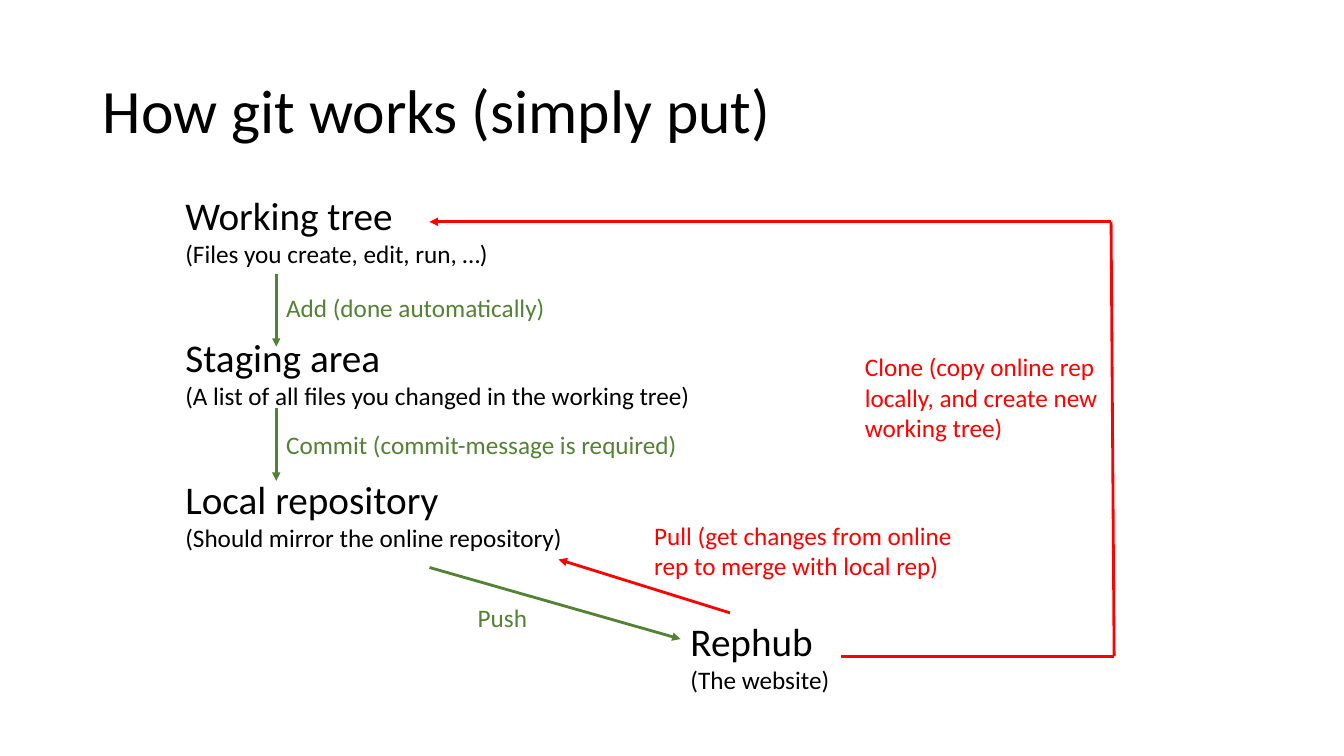
from pptx import Presentation
from pptx import util as u
from pptx.dml.color import RGBColor
from pptx.enum import shapes, text
from pptx.oxml.ns import qn
from lxml import etree

BLACK = RGBColor(0x00, 0x00, 0x00)
GREEN = RGBColor(0x54, 0x82, 0x35)
RED = RGBColor(0xFF, 0x00, 0x00)
FONT = "Calibri"


def add_run(paragraph, words, size, color):
    """Append one formatted run to a paragraph."""
    run = paragraph.add_run()
    run.text = words
    run.font.name = FONT
    run.font.size = u.Pt(size)
    run.font.color.rgb = color


def add_words(slide, box, paragraphs, color):
    """Place a text box; each paragraph is a size and its lines."""
    frame = slide.shapes.add_textbox(*map(u.Inches, box)).text_frame
    frame.word_wrap = False
    frame.auto_size = text.MSO_AUTO_SIZE.SHAPE_TO_FIT_TEXT
    for index, (size, lines) in enumerate(paragraphs):
        paragraph = frame.add_paragraph() if index else frame.paragraphs[0]
        for number, line in enumerate(lines):
            if number:
                paragraph.add_line_break()
            add_run(paragraph, line, size, color)


def add_line(slide, start, end, color, arrow=True):
    """Draw a straight line, with an arrowhead at its end if wanted."""
    line = slide.shapes.add_connector(
        shapes.MSO_CONNECTOR.STRAIGHT, *map(u.Inches, (*start, *end)))
    line.line.color.rgb = color
    line.line.width = u.Pt(2)
    if arrow:
        etree.SubElement(line.line._get_or_add_ln(), qn("a:tailEnd"), type="triangle")
    etree.SubElement(line._element.spPr, qn("a:effectLst"))


def add_title(slide, box, words):
    """Move and format the title placeholder."""
    title = slide.shapes.title
    title.left, title.top, title.width, title.height = map(u.Inches, box)
    frame = title.text_frame
    frame.vertical_anchor = text.MSO_ANCHOR.MIDDLE
    paragraph = frame.paragraphs[0]
    paragraph.alignment = text.PP_ALIGN.LEFT
    paragraph.line_spacing = 0.9
    add_run(paragraph, words, 44, BLACK)


def add_place(slide, box, name, remark):
    """Write a place where files live, with a remark below."""
    add_words(slide, box, [(28, [name]), (18, [remark])], BLACK)


def add_local_steps(slide, left, top):
    """Stack the three local places and the two steps between them."""
    pitch = 1.41
    places = [
        ("Working tree", "(Files you create, edit, run, …)", 3.24),
        ("Staging area", "(A list of all files you changed in the working tree)", 5.27),
        ("Local repository", "(Should mirror the online repository)", 4),
    ]
    for index, (name, remark, width) in enumerate(places):
        add_place(slide, (left, top + index * pitch, width, 0.88), name, remark)
    steps = [
        ("Add (done automatically)", 2.8, 0.87, 1),
        ("Commit (commit-message is required)", 4.13, 2.2, 2.36),
    ]
    for step, width, start, label_top in steps:
        x = left + 1
        add_line(slide, (x, top + start), (x, top + start + 0.72), GREEN)
        add_words(slide, (x, top + label_top, width, 0.4), [(18, [step])], GREEN)


def add_exchange(slide, left, top):
    """Place the website with its push and pull arrows."""
    add_place(slide, (left, top, 1.6, 0.88), "Rephub", "(The website)")
    add_line(slide, (left - 2.49, top - 0.44), (left, top + 0.27), GREEN)
    add_words(slide, (left - 2.11, top - 0.14, 0.7, 0.4), [(18, ["Push"])], GREEN)
    add_line(slide, (left + 0.49, top + 0.01), (left - 1.21, top - 0.52), RED)
    add_words(slide, (left - 0.36, top - 0.96, 3.19, 0.71),
              [(18, ["Pull (get changes from online"]),
               (18, ["rep to merge with local rep)"])], RED)


def add_clone_loop(slide, left, top):
    """Draw the clone route from the website back to the working tree."""
    corner = (left + 6.76, top)
    foot = (left + 6.79, top + 4.31)
    add_line(slide, corner, (left, top), RED)
    add_line(slide, corner, foot, RED, arrow=False)
    add_line(slide, foot, (left + 4.08, top + 4.31), RED, arrow=False)
    add_words(slide, (left + 4.22, top + 1.24, 2.54, 1.01),
              [(18, ["Clone (copy online rep", "locally, and create new",
                     "working tree)"])], RED)


def main():
    """Build and save the slide."""
    deck = Presentation()
    deck.slide_width, deck.slide_height = u.Inches(13.33), u.Inches(7.5)
    slide = deck.slides.add_slide(deck.slide_layouts[5])
    add_title(slide, (0.92, 0.4, 11.5, 1.45), "How git works (simply put)")
    add_local_steps(slide, 1.74, 1.85)
    add_exchange(slide, 6.75, 6.07)
    add_clone_loop(slide, 4.26, 2.2)
    deck.save("out.pptx")


if __name__ == "__main__":
    main()
